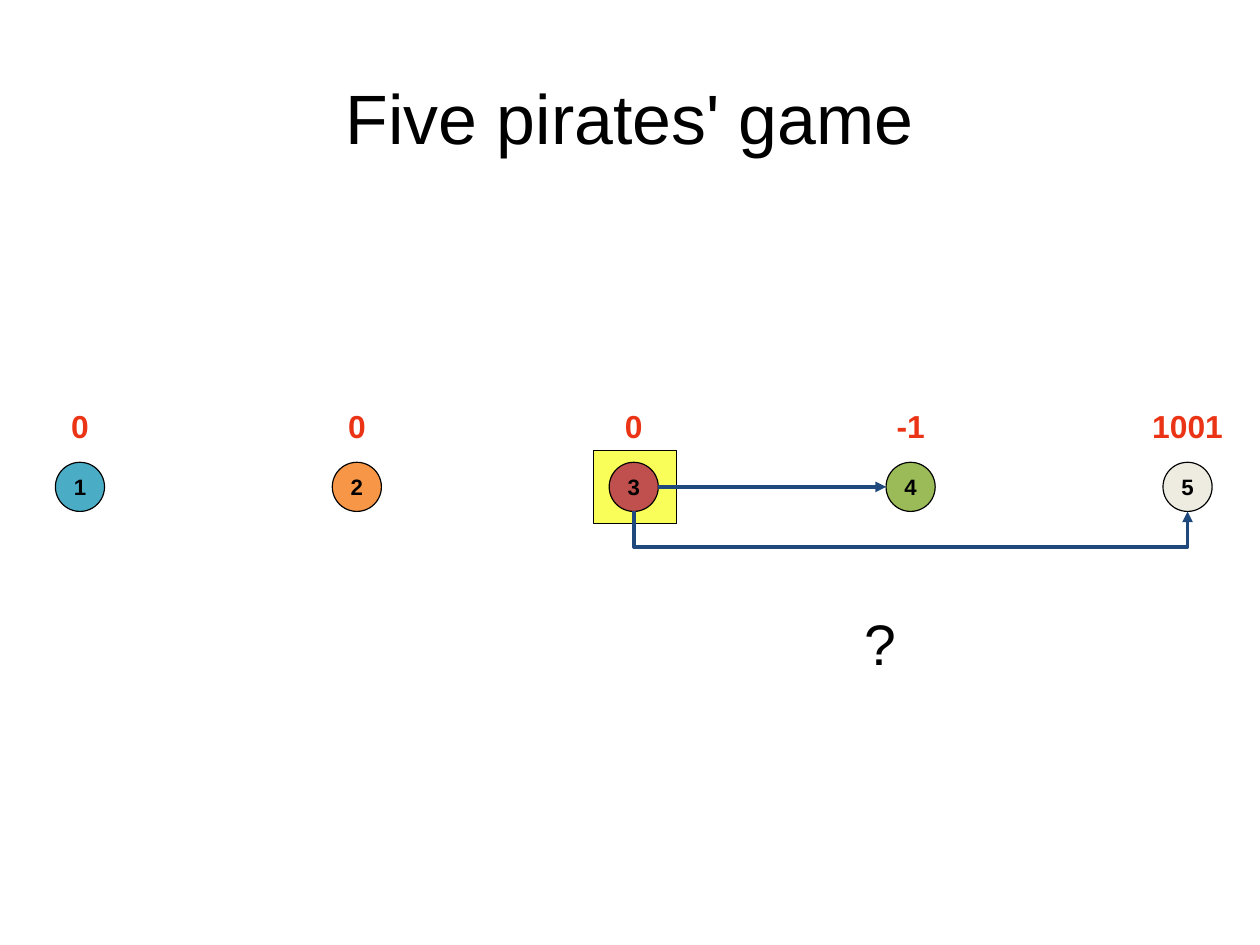
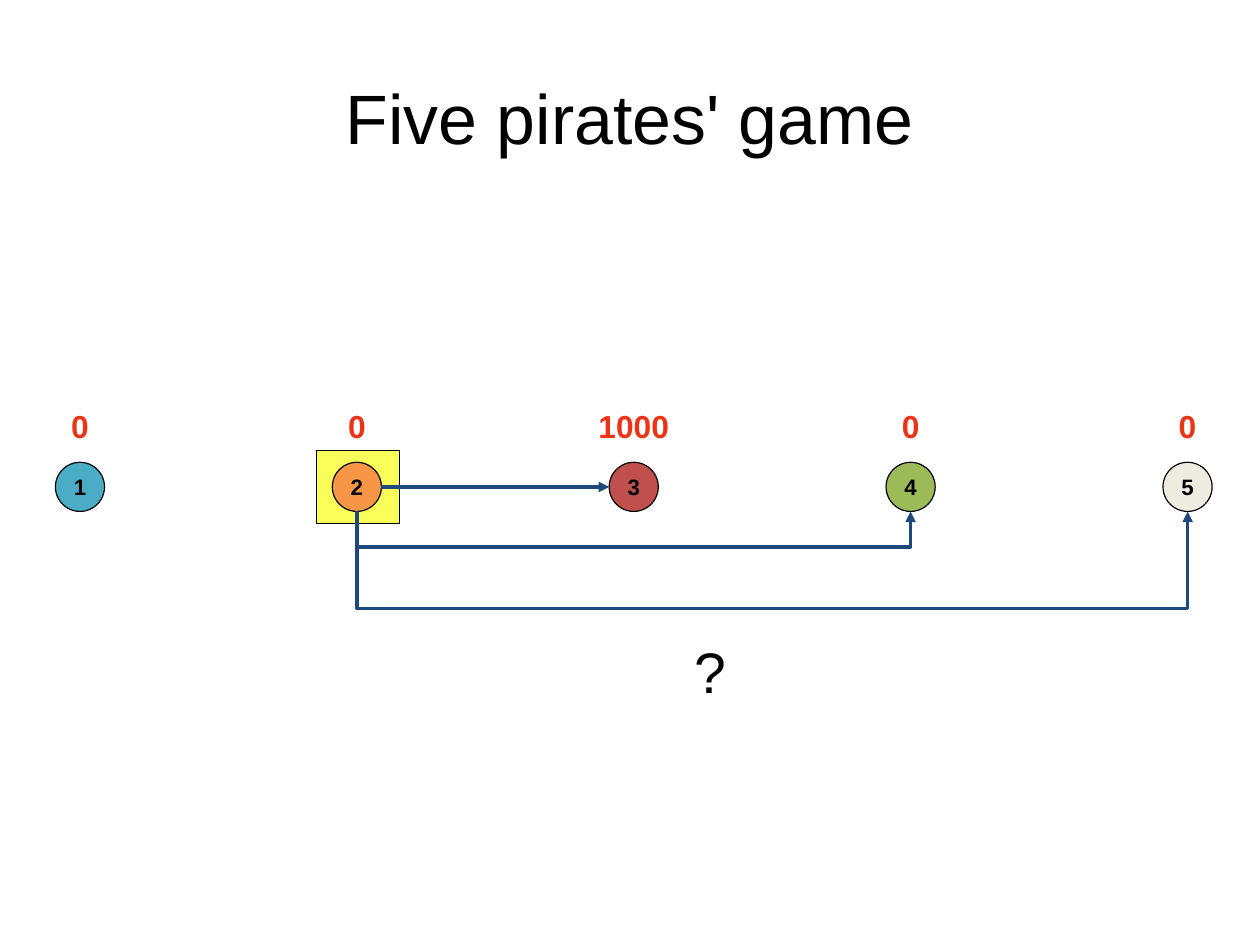
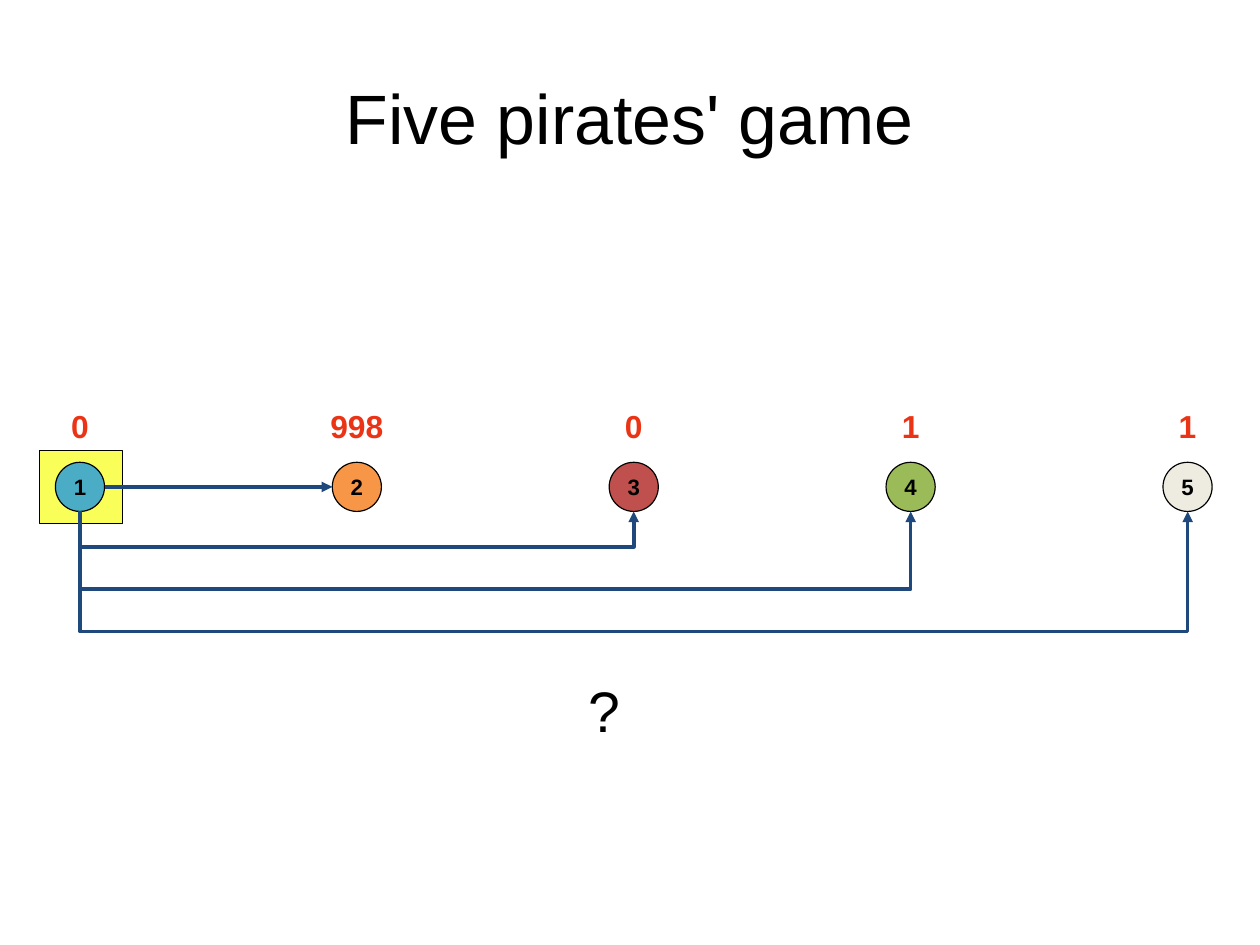
"""Build three slides showing the last rounds of the five pirates' game."""
from dataclasses import dataclass

from lxml.etree import SubElement
from pptx import Presentation
from pptx.dml.color import RGBColor
from pptx.enum.shapes import MSO_CONNECTOR, MSO_SHAPE
from pptx.enum.text import MSO_ANCHOR, PP_ALIGN
from pptx.oxml.ns import qn
from pptx.util import Cm, Emu, Inches, Pt

TITLE = "Five pirates' game"
PIRATES = [("1", "4BACC6"), ("2", "F79646"), ("3", "C0504D"),
           ("4", "9BBB59"), ("5", "EEECE1")]
ROUNDS = [
    {"proposer": 2, "payoffs": ["0", "0", "0", "-1", "1001"],
     "drops": [0.31], "question": (7.37, 5.22)},
    {"proposer": 1, "payoffs": ["0", "0", "1000", "0", "0"],
     "drops": [0.31, 0.85], "question": (5.88, 5.47)},
    {"proposer": 0, "payoffs": ["0", "998", "0", "1", "1"],
     "drops": [0.31, 0.68, 1.05], "question": (4.95, 5.81)},
]


@dataclass(frozen=True)
class Theme:
    """Colours and type sizes shared by the slides."""
    font: str = "Arial"
    ink: str = "000000"
    payoff: str = "EB3415"
    highlight: str = "FAFE58"
    arrow: str = "1F497D"
    title_pt: int = 44
    question_pt: int = 36
    payoff_pt: int = 20
    pirate_pt: int = 14
    outline_pt: float = 0.75
    arrow_pt: float = 2.25


THEME = Theme()
SLIDE_W, SLIDE_H = Cm(28), Cm(21)
WIDTH, HEIGHT = SLIDE_W.inches, SLIDE_H.inches
FIRST_X, LAST_X = 0.7, 10.39
PITCH = (LAST_X - FIRST_X) / (len(PIRATES) - 1)
ROW_Y, DIAMETER = 4.26, 0.43
HIGHLIGHT_W, HIGHLIGHT_H, HIGHLIGHT_DX = 0.73, 0.64, 0.01
PAYOFF_W, PAYOFF_H, PAYOFF_TOP = 1.17, 0.44, 3.51
BEND_BASE = Emu(720)
LEFT_SITE, BOTTOM_SITE, RIGHT_SITE = 2, 4, 6


def center_x(i):
    """Return the centre of a pirate's column in inches."""
    return FIRST_X + i * PITCH


def box(x, y, w, h):
    """Convert a rectangle from inches."""
    return tuple(Inches(v) for v in (x, y, w, h))


def place(sp, left, top, width, height):
    """Set a shape's frame."""
    sp.left, sp.top, sp.width, sp.height = left, top, width, height


def write(sp, text, size, color, bold=False, anchor=MSO_ANCHOR.TOP,
          inset=(0, 0), wrap=True):
    """Put one centred run into a shape."""
    tf = sp.text_frame
    tf.word_wrap = wrap
    tf.vertical_anchor = anchor
    tf.margin_left = tf.margin_right = Inches(inset[0])
    tf.margin_top = tf.margin_bottom = Inches(inset[1])
    p = tf.paragraphs[0]
    p.alignment = PP_ALIGN.CENTER
    r = p.add_run()
    r.text = text
    r.font.name, r.font.size, r.font.bold = THEME.font, Pt(size), bold
    r.font.color.rgb = RGBColor.from_string(color)


def add_filled(s, kind, rect, fill):
    """Add an outlined preset shape."""
    sp = s.shapes.add_shape(kind, *rect)
    sp.shadow.inherit = False
    sp.fill.solid()
    sp.fill.fore_color.rgb = RGBColor.from_string(fill)
    sp.line.color.rgb = RGBColor.from_string(THEME.ink)
    sp.line.width = Pt(THEME.outline_pt)
    return sp


def add_text(s, rect, text, size, color, **style):
    """Add a text box."""
    write(s.shapes.add_textbox(*rect), text, size, color, **style)


def add_arrow(s, kind, start, end, sites, frame, turn):
    """Add an arrow glued to two pirates."""
    c = s.shapes.add_connector(kind, 0, 0, 0, 0)
    c.begin_connect(start, 0)
    c.end_connect(end, 0)
    links = c._element.nvCxnSpPr.cNvCxnSpPr
    for tag, site in zip(("a:stCxn", "a:endCxn"), sites):
        links.find(qn(tag)).set("idx", str(site))
    place(c, *frame)
    xfrm = c._element.spPr.find(qn("a:xfrm"))
    for key, value in turn.items():
        xfrm.set(key, value)
    c.line.color.rgb = RGBColor.from_string(THEME.arrow)
    c.line.width = Pt(THEME.arrow_pt)
    SubElement(c.line._get_or_add_ln(), qn("a:tailEnd"), type="triangle")
    SubElement(c._element.spPr, qn("a:effectLst"))
    return c


def add_straight(s, start, end):
    """Join neighbours from side to side."""
    left = start.left + start.width
    frame = left, start.top + start.height // 2, end.left - left, 0
    add_arrow(s, MSO_CONNECTOR.STRAIGHT, start, end, (RIGHT_SITE, LEFT_SITE),
              frame, {"rot": "0", "flipH": "0", "flipV": "0"})


def add_bent(s, start, end, drop):
    """Join two pirates by a line that runs below the row."""
    span = end.left - start.left
    middle = (start.left + end.left + start.width) // 2
    frame = (middle - BEND_BASE // 2, start.top + start.height - span // 2,
             BEND_BASE, span)
    c = add_arrow(s, MSO_CONNECTOR.ELBOW, start, end, (BOTTOM_SITE, BOTTOM_SITE),
                  frame, {"rot": "16200000", "flipH": "1", "flipV": "0"})
    geom = c._element.spPr.find(qn("a:prstGeom"))
    guides = geom.find(qn("a:avLst"))
    if guides is None:
        guides = SubElement(geom, qn("a:avLst"))
    ratio = round(Inches(drop) / BEND_BASE * 100000)
    SubElement(guides, qn("a:gd"), name="adj1", fmla=f"val {ratio}")


def add_round(prs, proposer, payoffs, drops, question):
    """Add one slide of the game."""
    s = prs.slides.add_slide(prs.slide_layouts[5])
    title = s.shapes.title
    place(title, *box(WIDTH * 0.05, HEIGHT * 0.04, WIDTH * 0.9, HEIGHT / 6))
    write(title, TITLE, THEME.title_pt, THEME.ink, anchor=MSO_ANCHOR.MIDDLE)

    add_filled(s, MSO_SHAPE.RECTANGLE, box(
        center_x(proposer) + HIGHLIGHT_DX - HIGHLIGHT_W / 2, ROW_Y - HIGHLIGHT_H / 2,
        HIGHLIGHT_W, HIGHLIGHT_H), THEME.highlight)

    pirates = []
    for i, ((name, color), payoff) in enumerate(zip(PIRATES, payoffs)):
        x = center_x(i)
        sp = add_filled(s, MSO_SHAPE.OVAL, box(
            x - DIAMETER / 2, ROW_Y - DIAMETER / 2, DIAMETER, DIAMETER), color)
        write(sp, name, THEME.pirate_pt, THEME.ink, bold=True,
              anchor=MSO_ANCHOR.MIDDLE, wrap=False)
        pirates.append(sp)
        add_text(s, box(x - PAYOFF_W / 2, PAYOFF_TOP, PAYOFF_W, PAYOFF_H), payoff,
                 THEME.payoff_pt, THEME.payoff, bold=True, inset=(0.1, 0.05))

    start, neighbour, *others = pirates[proposer:]
    add_straight(s, start, neighbour)
    for end, drop in zip(others, drops):
        add_bent(s, start, end, drop)
    add_text(s, box(*question, 0.67, 0.81), "?", THEME.question_pt, THEME.ink,
             inset=(0.1, 0.1))


def main():
    """Create and save the presentation."""
    prs = Presentation()
    prs.slide_width, prs.slide_height = SLIDE_W, SLIDE_H
    for game_round in ROUNDS:
        add_round(prs, **game_round)
    prs.save("out.pptx")


if __name__ == "__main__":
    main()
